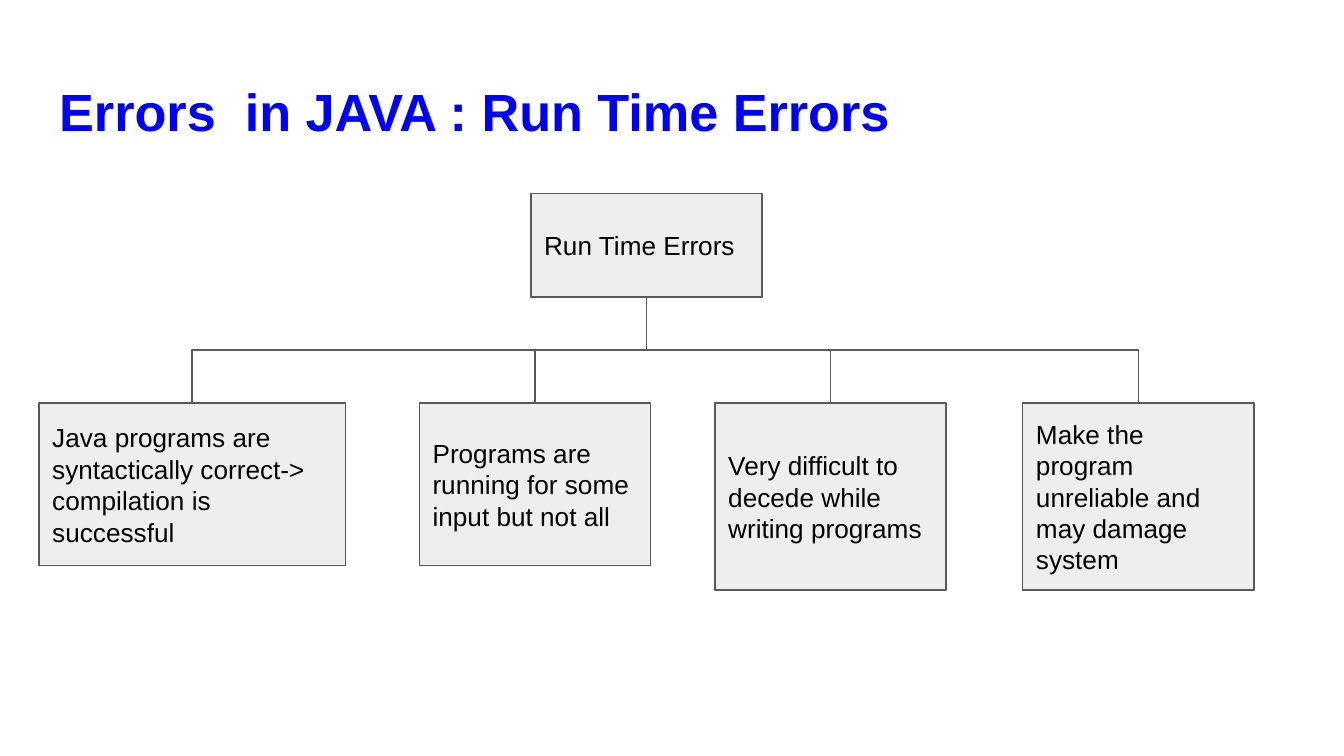
from pptx import Presentation
from pptx.dml.color import RGBColor as RGB
from pptx.enum.shapes import MSO_CONNECTOR as LINK, MSO_SHAPE as SHAPE
from pptx.enum.text import MSO_ANCHOR as ANCHOR, MSO_AUTO_SIZE as FIT, PP_ALIGN as ALIGN
from pptx.oxml.ns import qn
from pptx.util import Inches, Pt
from lxml.etree import SubElement

COLORS = {"title": "0000FF", "text": "000000", "box": "EEEEEE", "line": "595959"}
FONT = "Arial"
ROOT = ("Run Time Errors", 3.95, 1.44, 1.72, 0.77)
CAUSE_TOP = 3
CAUSES = [  # text, left, width, height
    ("Java programs are syntactically correct-> compilation is successful", 0.29, 2.28, 1.21),
    ("Programs are running for some input but not all", 3.12, 1.72, 1.21),
    ("Very difficult to decede while writing programs", 5.32, 1.72, 1.39),
    ("Make the program unreliable and may damage system", 7.61, 1.72, 1.39),
]


def color(name):
    return RGB.from_string(COLORS[name])


def set_text(shape, text, size, hue, anchor, bold=False):
    frame = shape.text_frame
    frame.text = text
    frame.word_wrap = True
    frame.auto_size = FIT.NONE
    frame.vertical_anchor = anchor
    frame.margin_left = frame.margin_right = Inches(0.1)
    frame.margin_top = frame.margin_bottom = Inches(0.1)
    para = frame.paragraphs[0]
    para.alignment = ALIGN.LEFT
    font = para.runs[0].font
    font.name, font.size, font.bold = FONT, Pt(size), bold
    font.color.rgb = color(hue)


def set_line(shape):
    shape.line.color.rgb = color("line")
    shape.line.width = Pt(0.75)


def add_title(slide, text):
    title = slide.shapes.title
    title.left, title.top = Inches(0.34), Inches(0.49)
    title.width, title.height = Inches(9.32), Inches(0.63)
    set_text(title, text, 28, "title", ANCHOR.TOP, bold=True)


def add_box(slide, text, left, top, width, height):
    box = slide.shapes.add_shape(
        SHAPE.RECTANGLE, Inches(left), Inches(top), Inches(width), Inches(height))
    box.shadow.inherit = False
    box.fill.solid()
    box.fill.fore_color.rgb = color("box")
    set_line(box)
    set_text(box, text, 14, "text", ANCHOR.MIDDLE)
    return box


def add_branch(slide, child, parent):
    """Run an elbow from the child's top up to the parent's bottom.

    An elbow leaves sideways, so it is laid out flat and turned a quarter.
    """
    x1, y1 = child.left + child.width // 2, child.top
    x2, y2 = parent.left + parent.width // 2, parent.top + parent.height
    mid_x, mid_y = (x1 + x2) // 2, (y1 + y2) // 2
    rise, run = (y1 - y2) // 2, abs(x2 - x1) // 2
    on_left = x1 < x2
    side = rise if on_left else -rise
    branch = slide.shapes.add_connector(
        LINK.ELBOW, mid_x - side, mid_y - run, mid_x + side, mid_y + run)
    props = branch._element.spPr
    turn = 270 if on_left else 90
    props.find(qn("a:xfrm")).set("rot", str(turn * 60000))
    set_line(branch)
    SubElement(props, qn("a:effectLst"))


def main():
    deck = Presentation()
    deck.slide_width = Inches(10)
    deck.slide_height = deck.slide_width * 9 // 16
    slide = deck.slides.add_slide(deck.slide_layouts[5])
    add_title(slide, "Errors  in JAVA : Run Time Errors")
    root = add_box(slide, *ROOT)
    boxes = [add_box(slide, text, left, CAUSE_TOP, width, height)
             for text, left, width, height in CAUSES]
    for box in boxes:
        add_branch(slide, box, root)
    deck.save("out.pptx")


if __name__ == "__main__":
    main()
